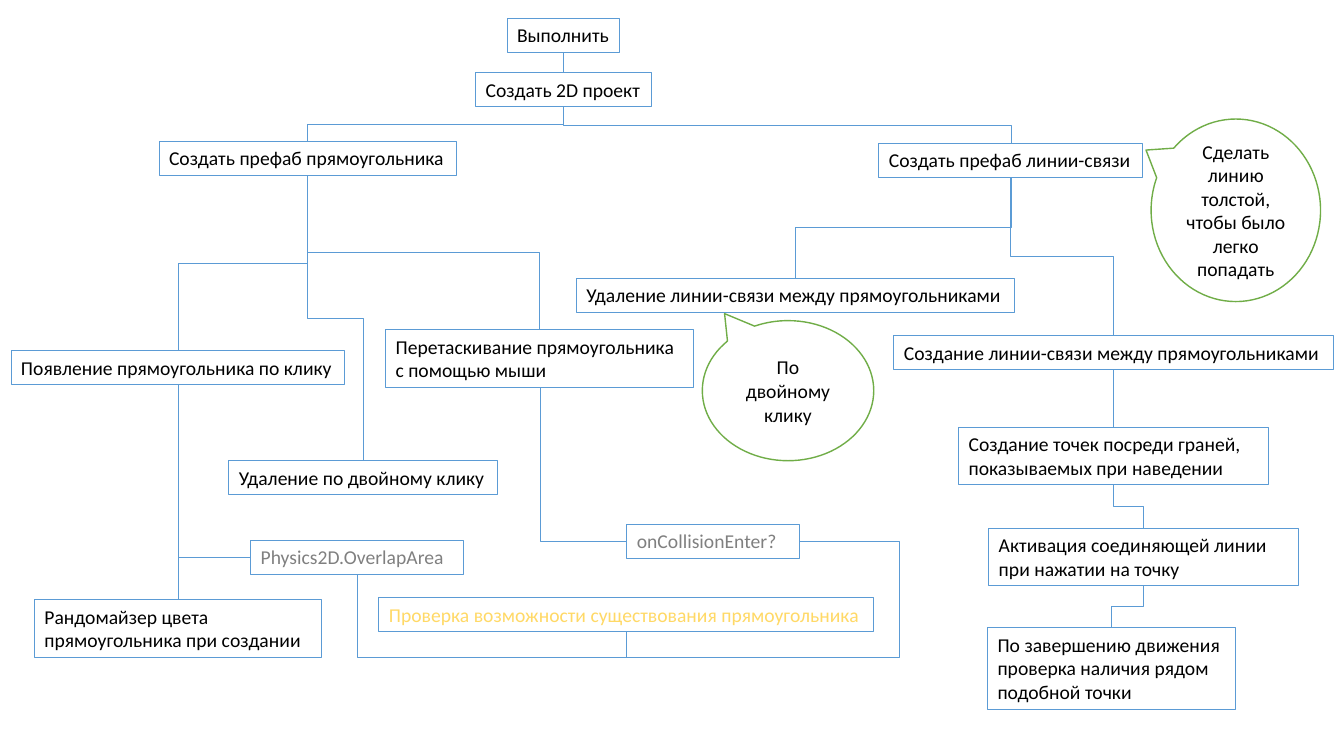
from dataclasses import dataclass

from lxml.etree import SubElement
from pptx import Presentation
from pptx.dml.color import RGBColor
from pptx.enum.shapes import MSO_CONNECTOR, MSO_SHAPE
from pptx.enum.text import MSO_ANCHOR, MSO_AUTO_SIZE, PP_ALIGN
from pptx.oxml.ns import qn
from pptx.shapes.autoshape import Shape
from pptx.shapes.connector import Connector
from pptx.slide import Slide
from pptx.util import Cm, Pt

BLACK = RGBColor(0x00, 0x00, 0x00)
WHITE = RGBColor(0xFF, 0xFF, 0xFF)
GRAY = RGBColor(0x80, 0x80, 0x80)
YELLOW = RGBColor(0xFF, 0xD9, 0x66)
BLUE = RGBColor(0x5B, 0x9B, 0xD5)
GREEN = RGBColor(0x70, 0xAD, 0x47)

TOP, LEFT, BOTTOM, RIGHT = range(4)
ONE_LINE, TWO_LINES, THREE_LINES = 0.86, 1.45, 2.06
QUARTER_TURN = "5400000"


@dataclass(frozen=True)
class Task:
    text: str
    left: float
    top: float
    width: float
    height: float = ONE_LINE
    wrap: bool = False
    color: RGBColor = BLACK


@dataclass(frozen=True)
class Callout:
    text: str
    left: float
    top: float
    width: float
    height: float
    tip: tuple[float, float]


@dataclass(frozen=True)
class Link:
    start: str
    end: str
    end_side: int = TOP
    preset: str = "bentConnector3"
    bends: tuple[float, ...] = ()


TASKS = {
    "execute": Task("Выполнить", 12.78, 0.46, 2.84),
    "project": Task("Создать 2D проект", 11.99, 1.83, 4.42),
    "rectangle": Task("Создать префаб прямоугольника", 4.01, 3.56, 7.49),
    "line": Task("Создать префаб линии-связи", 22.15, 3.61, 6.65),
    "appear": Task("Появление прямоугольника по клику", 0.28, 8.84, 8.41),
    "color": Task("Рандомайзер цвета прямоугольника при создании",
                  0.87, 15.11, 7.23, TWO_LINES, True),
    "delete": Task("Удаление по двойному клику", 5.77, 11.61, 6.76),
    "check": Task("Проверка возможности существования прямоугольника",
                  9.55, 15.06, 12.47, color=YELLOW),
    "drag": Task("Перетаскивание прямоугольника с помощью мыши",
                 9.72, 8.31, 7.77, TWO_LINES, True),
    "create line": Task("Создание линии-связи между прямоугольниками", 22.53, 8.46, 11.07),
    "delete line": Task("Удаление линии-связи между прямоугольниками", 14.53, 7.01, 11.05),
    "points": Task("Создание точек посреди граней, показываемых при наведении",
                   24.16, 10.77, 7.81, TWO_LINES, True),
    "collision": Task("onCollisionEnter?", 15.8, 13.21, 4.34, wrap=True, color=GRAY),
    "overlap": Task("Physics2D.OverlapArea", 6.32, 13.61, 5.36, wrap=True, color=GRAY),
    "activate": Task("Активация соединяющей линии при нажатии на точку",
                     24.92, 13.31, 7.8, TWO_LINES, True),
    "finish": Task("По завершению движения проверка наличия рядом подобной точки",
                   24.89, 15.82, 6.25, THREE_LINES, True),
}

CALLOUTS = [
    Callout("Сделать линию толстой, чтобы было легко попадать",
            29.01, 3, 4.27, 4.6, (-0.53, -0.33)),
    Callout("По двойному клику", 17.7, 8.08, 4.32, 3.53, (-0.37, -0.55)),
]

STRAIGHT_LINKS = [("execute", "project"), ("appear", "color"), ("create line", "points")]

BENT_LINKS = [
    Link("project", "line"),
    Link("project", "rectangle"),
    Link("rectangle", "delete"),
    Link("rectangle", "appear"),
    Link("rectangle", "drag"),
    Link("line", "create line"),
    Link("line", "delete line"),
    Link("points", "activate"),
    Link("activate", "finish"),
    Link("drag", "collision", LEFT, "bentConnector2"),
    Link("appear", "overlap", LEFT, "bentConnector2"),
    Link("check", "overlap", BOTTOM, bends=(-0.44,)),
    Link("check", "collision", RIGHT, "bentConnector4", (-0.28, 1.58)),
]


def write_text(shape: Shape, text: str, color: RGBColor) -> None:
    shape.text_frame.text = text
    font = shape.text_frame.paragraphs[0].font
    font.name = "Calibri"
    font.size = Pt(14)
    font.color.rgb = color


def add_task(slide: Slide, task: Task) -> Shape:
    box = slide.shapes.add_textbox(
        Cm(task.left), Cm(task.top), Cm(task.width), Cm(task.height))
    box.line.color.rgb = BLUE
    box.line.width = Pt(0.75)
    write_text(box, task.text, task.color)
    box.text_frame.word_wrap = task.wrap
    box.text_frame.auto_size = MSO_AUTO_SIZE.SHAPE_TO_FIT_TEXT
    return box


def add_callout(slide: Slide, callout: Callout) -> None:
    bubble = slide.shapes.add_shape(
        MSO_SHAPE.OVAL_CALLOUT, Cm(callout.left), Cm(callout.top),
        Cm(callout.width), Cm(callout.height))
    bubble.adjustments[0], bubble.adjustments[1] = callout.tip
    bubble.shadow.inherit = False
    bubble.fill.solid()
    bubble.fill.fore_color.rgb = WHITE
    bubble.line.color.rgb = GREEN
    bubble.line.width = Pt(1)
    write_text(bubble, callout.text, BLACK)
    bubble.text_frame.word_wrap = True
    bubble.text_frame.vertical_anchor = MSO_ANCHOR.MIDDLE
    bubble.text_frame.paragraphs[0].alignment = PP_ALIGN.CENTER


def side_middle(task: Task, side: int) -> tuple[float, float]:
    across, down = {TOP: (0.5, 0), LEFT: (0, 0.5), BOTTOM: (0.5, 1), RIGHT: (1, 0.5)}[side]
    return task.left + across * task.width, task.top + down * task.height


def style_connector(connector: Connector) -> None:
    connector.line.color.rgb = BLUE
    connector.line.width = Pt(0.5)
    SubElement(connector._element.spPr, qn("a:effectLst"))


def add_straight_link(slide: Slide, start: Shape, end: Shape) -> None:
    connector = slide.shapes.add_connector(MSO_CONNECTOR.STRAIGHT, 0, 0, 0, 0)
    connector.begin_connect(start, BOTTOM)
    connector.end_connect(end, TOP)
    style_connector(connector)


def add_bent_link(slide: Slide, link: Link) -> None:
    """Draw an elbow, turned by 90 degrees so that it leaves its start vertically."""
    start_x, start_y = side_middle(TASKS[link.start], BOTTOM)
    end_x, end_y = side_middle(TASKS[link.end], link.end_side)
    middle_x, middle_y = (start_x + end_x) / 2, (start_y + end_y) / 2
    half_x, half_y = (end_x - start_x) / 2, (end_y - start_y) / 2
    connector = slide.shapes.add_connector(
        MSO_CONNECTOR.ELBOW,
        Cm(middle_x - half_y), Cm(middle_y + half_x),
        Cm(middle_x + half_y), Cm(middle_y - half_x))
    properties = connector._element.spPr
    properties.find(qn("a:xfrm")).set("rot", QUARTER_TURN)
    geometry = properties.find(qn("a:prstGeom"))
    geometry.set("prst", link.preset)
    for number, bend in enumerate(link.bends, start=1):
        SubElement(geometry.find(qn("a:avLst")), qn("a:gd"),
                   name=f"adj{number}", fmla=f"val {round(bend * 100000)}")
    style_connector(connector)


def main() -> None:
    presentation = Presentation()
    presentation.slide_width = Cm(33.87)
    presentation.slide_height = Cm(19.05)
    slide = presentation.slides.add_slide(presentation.slide_layouts[6])
    boxes = {name: add_task(slide, task) for name, task in TASKS.items()}
    for start, end in STRAIGHT_LINKS:
        add_straight_link(slide, boxes[start], boxes[end])
    for link in BENT_LINKS:
        add_bent_link(slide, link)
    for callout in CALLOUTS:
        add_callout(slide, callout)
    presentation.save("out.pptx")


if __name__ == "__main__":
    main()
